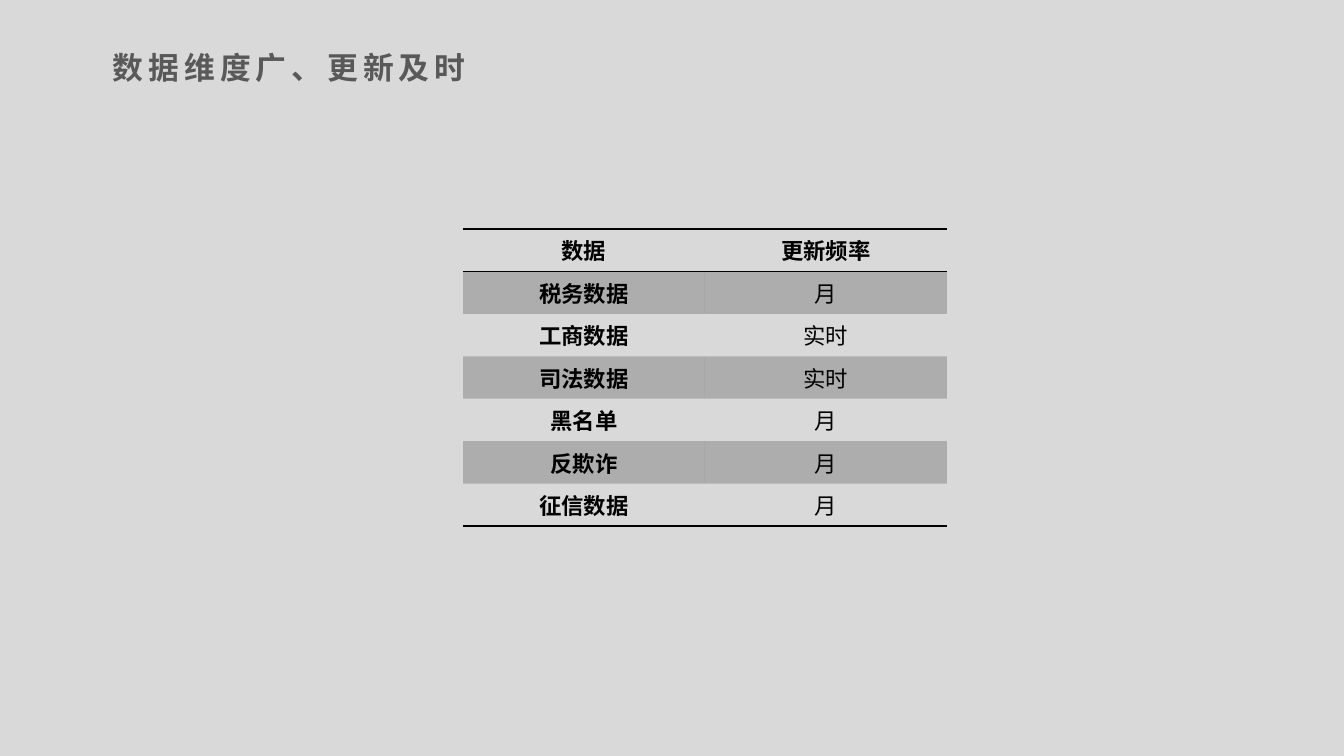
from dataclasses import dataclass

from lxml import etree
from pptx import Presentation
from pptx.dml.color import RGBColor
from pptx.enum.text import MSO_ANCHOR, PP_ALIGN
from pptx.oxml.ns import qn
from pptx.util import Pt

MIDDLE = MSO_ANCHOR.MIDDLE
CENTER = PP_ALIGN.CENTER
EMU_PER_PX = 914400 / 100.8
NO_STYLE_NO_GRID = "{2D5ABB26-0587-4C30-8999-92F81FD0307C}"


@dataclass(frozen=True)
class Theme:
    font: str = "Noto Sans CJK SC"
    background: str = "D9D9D9"
    title_color: str = "595959"
    ink: str = "000000"
    title_size: int = 22
    title_spacing: float = 3.6
    table_size: int = 16
    rule_width: int = 1
    band_opacity: int = 20


THEME = Theme()

UPDATE_FREQUENCIES = [
    ("数据", "更新频率"),
    ("税务数据", "月"),
    ("工商数据", "实时"),
    ("司法数据", "实时"),
    ("黑名单", "月"),
    ("反欺诈", "月"),
    ("征信数据", "月"),
]


def px(length):
    return round(length * EMU_PER_PX)


def add_run(paragraph, text, size, color, bold):
    run = paragraph.add_run()
    run.text = text
    run.font.size = Pt(size)
    run.font.bold = bold
    run.font.name = THEME.font
    run.font.color.rgb = RGBColor.from_string(color)
    properties = run._r.get_or_add_rPr()
    etree.SubElement(properties, qn("a:ea")).set("typeface", THEME.font)
    return properties


def add_title(slide, box, text):
    frame = slide.shapes.add_textbox(*map(px, box)).text_frame
    frame.word_wrap = True
    frame.vertical_anchor = MIDDLE
    frame.margin_left = frame.margin_right = px(12)
    frame.margin_top = frame.margin_bottom = px(6)
    properties = add_run(frame.paragraphs[0], text, THEME.title_size,
                         THEME.title_color, True)
    properties.set("spc", str(round(THEME.title_spacing * 100)))


def add_rule(cell, side):
    """Draw a cell border; side is lnT or lnB. Call before setting the fill."""
    line = etree.SubElement(cell._tc.get_or_add_tcPr(), qn(f"a:{side}"))
    line.set("w", str(Pt(THEME.rule_width)))
    fill = etree.SubElement(line, qn("a:solidFill"))
    etree.SubElement(fill, qn("a:srgbClr")).set("val", THEME.ink)


def fill_band(cell):
    cell.fill.solid()
    cell.fill.fore_color.rgb = RGBColor.from_string(THEME.ink)
    color = cell._tc.tcPr.find(qn("a:solidFill")).find(qn("a:srgbClr"))
    etree.SubElement(color, qn("a:alpha")).set("val", str(THEME.band_opacity * 1000))


def add_frequency_table(slide, box, rows):
    left, top, width, height = map(px, box)
    table = slide.shapes.add_table(len(rows), len(rows[0]),
                                   left, top, width, height).table
    table._tbl.tblPr.find(qn("a:tableStyleId")).text = NO_STYLE_NO_GRID
    table.first_row = table.horz_banding = False
    for column in table.columns:
        column.width = width // len(rows[0])
    last = len(rows) - 1
    for r, row in enumerate(rows):
        table.rows[r].height = height // len(rows)
        for c, text in enumerate(row):
            cell = table.cell(r, c)
            cell.vertical_anchor = MIDDLE
            cell.margin_left = cell.margin_right = px(7)
            cell.margin_top = cell.margin_bottom = 0
            if r == 0:
                add_rule(cell, "lnT")
            if r in (0, last):
                add_rule(cell, "lnB")
            if r % 2:
                fill_band(cell)
            else:
                cell.fill.background()
            paragraph = cell.text_frame.paragraphs[0]
            paragraph.alignment = CENTER
            add_run(paragraph, text, THEME.table_size, THEME.ink, r == 0 or c == 0)


def main():
    presentation = Presentation()
    presentation.slide_width = px(1344)
    presentation.slide_height = px(756)
    slide = presentation.slides.add_slide(presentation.slide_layouts[6])
    slide.background.fill.solid()
    slide.background.fill.fore_color.rgb = RGBColor.from_string(THEME.background)
    add_title(slide, (101, 44, 1210, 47), "数据维度广、更新及时")
    add_frequency_table(slide, (463, 229, 484, 297), UPDATE_FREQUENCIES)
    presentation.save("out.pptx")


if __name__ == "__main__":
    main()
